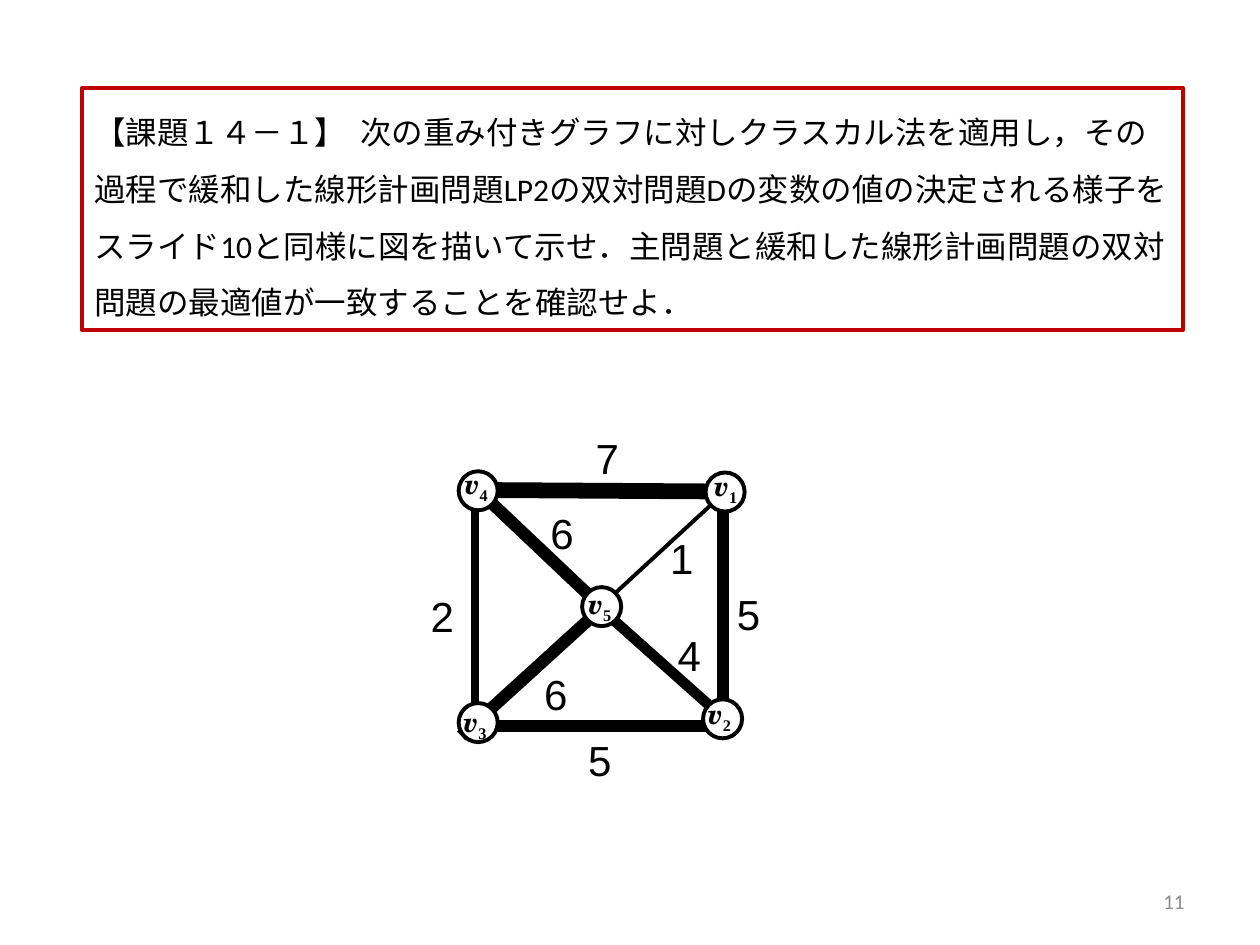
from typing import NamedTuple

from lxml.etree import SubElement
from pptx import Presentation
from pptx.dml.color import RGBColor
from pptx.enum.shapes import MSO_CONNECTOR, MSO_SHAPE
from pptx.enum.text import MSO_ANCHOR as Anchor, PP_ALIGN as Align
from pptx.oxml.ns import qn
from pptx.util import Inches, Pt

COLORS = {"ink": "000000", "paper": "FFFFFF", "frame": "C00000", "number": "8C8C8C"}
NODE_SIZE = 0.31
TASK = (
    "【課題１４－１】  次の重み付きグラフに対しクラスカル法を適用し，"
    "その過程で緩和した線形計画問題LP2の双対問題Dの変数の値の決定される様子を"
    "スライド10と同様に図を描いて示せ．"
    "主問題と緩和した線形計画問題の双対問題の最適値が一致することを確認せよ．"
)


class Edge(NamedTuple):
    """A weighted edge: end points, line width and label position."""
    start: tuple[float, float]
    end: tuple[float, float]
    width: float
    weight: str
    label: tuple[float, float]


class Node(NamedTuple):
    """A vertex: index, circle corner and label corner."""
    index: str
    circle: tuple[float, float]
    label: tuple[float, float]


EDGES = [
    Edge((3.95, 3.89), (5.6, 3.9), 9, "7", (4.63, 3.38)),
    Edge((3.9, 5.76), (5.61, 5.76), 7, "5", (4.57, 5.78)),
    Edge((3.77, 5.63), (3.77, 4), 4.5, "2", (3.32, 4.64)),
    Edge((5.74, 5.62), (5.74, 4), 7, "5", (5.75, 4.62)),
    Edge((4.88, 4.71), (5.64, 4.01), 2.25, "1", (5.22, 4.18)),
    Edge((3.66, 5.84), (4.66, 4.93), 7, "6", (4.22, 5.26)),
    Edge((4.88, 4.93), (5.62, 5.59), 6, "4", (5.28, 4.95)),
    Edge((3.91, 4), (4.66, 4.71), 7, "6", (4.27, 3.98)),
]
NODES = [
    Node("1", (5.6, 3.75), (5.51, 3.67)),
    Node("2", (5.58, 5.55), (5.46, 5.48)),
    Node("3", (3.64, 5.58), (3.52, 5.54)),
    Node("4", (3.64, 3.74), (3.53, 3.65)),
    Node("5", (4.62, 4.66), (4.51, 4.61)),
]


def color(name: str) -> RGBColor:
    """Look up a named colour."""
    return RGBColor.from_string(COLORS[name])


def style_span(span, font: str, size: float, ink: str = "ink") -> None:
    """Set the font, size and colour of a run."""
    span.font.name = font
    span.font.size = Pt(size)
    span.font.color.rgb = color(ink)


def add_label(page, place: tuple[float, ...], text: str, font: str, size: float,
              ink: str = "ink"):
    """Add a one-run text box and return it."""
    box = page.shapes.add_textbox(*map(Inches, place))
    box.text_frame.word_wrap = True
    box.text_frame.text = text
    style_span(box.text_frame.paragraphs[0].runs[0], font, size, ink)
    return box


def add_outlined(page, kind, place: tuple[float, ...], line: str):
    """Add a shape with a 2.25 pt outline and no shadow."""
    shape = page.shapes.add_shape(kind, *map(Inches, place))
    shape.shadow.inherit = False
    shape.line.color.rgb = color(line)
    shape.line.width = Pt(2.25)
    return shape


def draw_edge(page, edge: Edge) -> None:
    """Draw the line of an edge."""
    line = page.shapes.add_connector(
        MSO_CONNECTOR.STRAIGHT, *map(Inches, edge.start + edge.end))
    line.line.color.rgb = color("ink")
    line.line.width = Pt(edge.width)
    SubElement(line._element.spPr, qn("a:effectLst"))


def draw_node(page, node: Node) -> None:
    """Draw a vertex circle with its subscripted name."""
    circle = add_outlined(
        page, MSO_SHAPE.OVAL, node.circle + (NODE_SIZE, NODE_SIZE), "ink")
    circle.fill.solid()
    circle.fill.fore_color.rgb = color("paper")
    box = add_label(page, node.label + (0.65, 0.37), " ", "Times New Roman", 16)
    para = box.text_frame.paragraphs[0]
    letter, index = para.add_run(), para.add_run()
    letter.text, index.text = "v", node.index
    style_span(letter, "TeX Gyre Schola", 16)
    style_span(index, "Times New Roman", 16)
    letter.font.bold = letter.font.italic = index.font.bold = True
    index._r.get_or_add_rPr().set("baseline", "-25000")


def draw_task(page) -> None:
    """Draw the framed task statement."""
    frame = add_outlined(page, MSO_SHAPE.RECTANGLE, (0.65, 0.7, 8.74, 1.92), "frame")
    frame.fill.background()
    frame.text_frame.word_wrap = True
    frame.text_frame.vertical_anchor = Anchor.TOP
    frame.text_frame.text = TASK
    para = frame.text_frame.paragraphs[0]
    para.alignment = Align.LEFT
    para.line_spacing = 1.5
    style_span(para.runs[0], "Calibri", 18)


def main() -> None:
    """Build and save the slide."""
    deck = Presentation()
    deck.slide_width, deck.slide_height = Inches(10), Inches(7.5)
    page = deck.slides.add_slide(deck.slide_layouts[6])
    for edge in EDGES:
        draw_edge(page, edge)
    for node in NODES:
        draw_node(page, node)
    for edge in EDGES:
        add_label(page, edge.label + (0.4, 0.5), edge.weight, "Arial", 24)
    draw_task(page)
    number = add_label(page, (7.17, 6.95, 2.33, 0.4), "11", "Calibri", 12, "number")
    number.text_frame.vertical_anchor = Anchor.MIDDLE
    number.text_frame.paragraphs[0].alignment = Align.RIGHT
    deck.save("out.pptx")


main()
